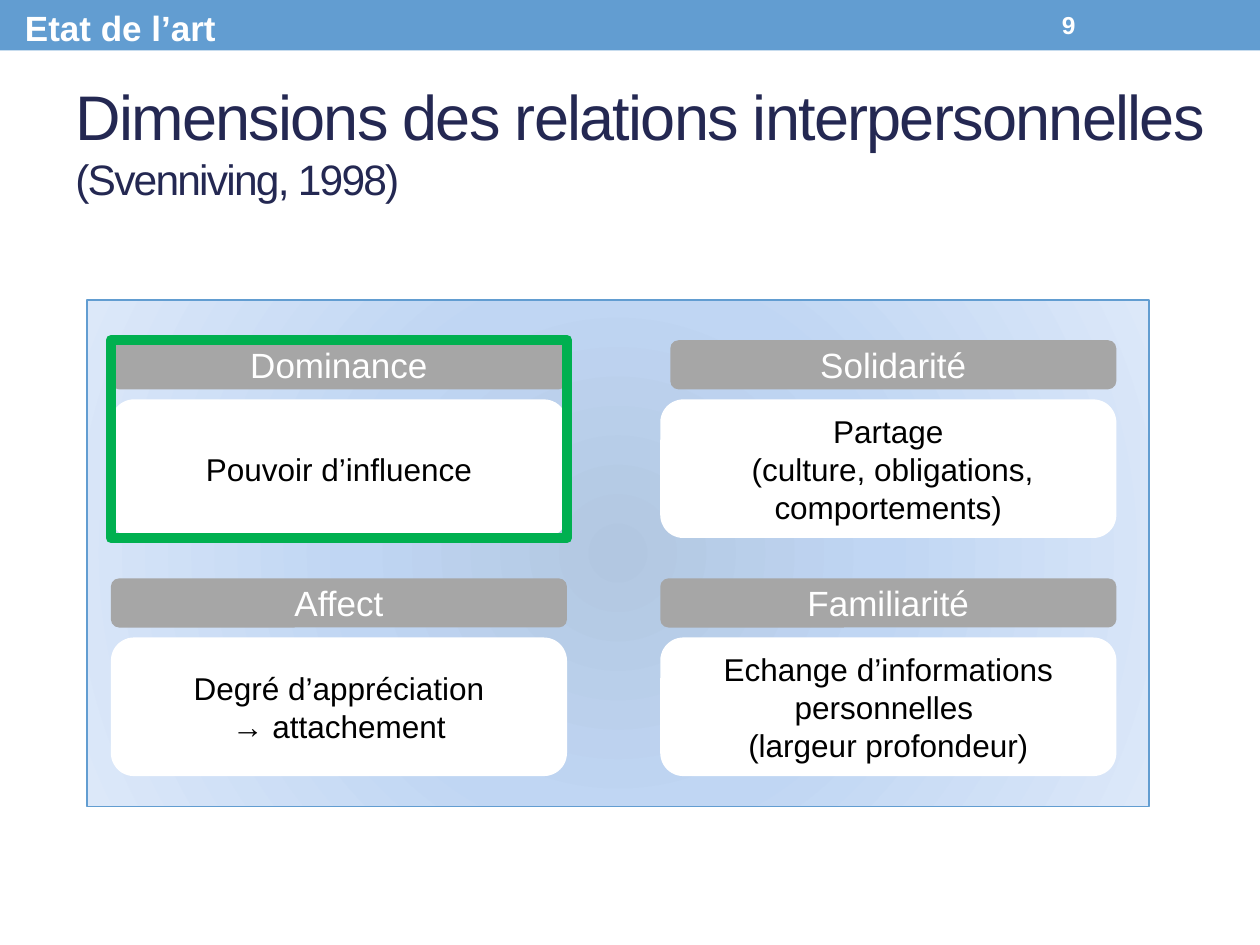
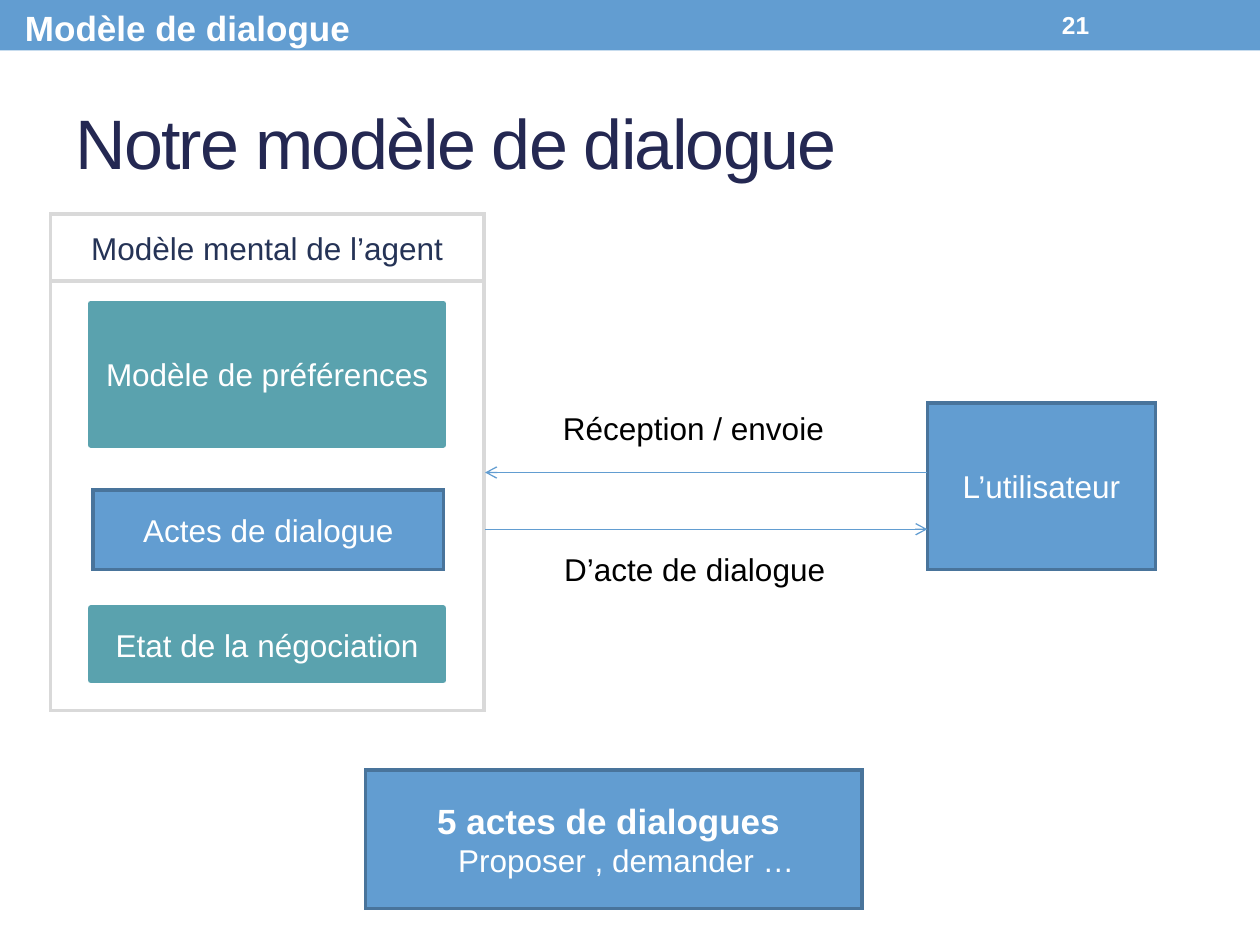
from dataclasses import dataclass
from lxml.etree import SubElement
from pptx import Presentation
from pptx.dml.color import RGBColor
from pptx.enum.shapes import MSO_CONNECTOR as Connector, MSO_SHAPE as Shape
from pptx.enum.text import MSO_ANCHOR as Anchor, PP_ALIGN as Align
from pptx.oxml.ns import qn
from pptx.util import Inches, Pt


@dataclass(frozen=True)
class Theme:
    font: str = "Arial"
    white: str = "FFFFFF"
    black: str = "000000"
    title: str = "242852"
    heading: str = "253356"
    blue: str = "629DD1"
    blue_edge: str = "49749B"
    teal: str = "5AA2AE"
    gray: str = "A6A6A6"
    frame: str = "D9D9D9"
    highlight: str = "00B050"
    glow: tuple = ((0, "B2C7E1"), (45, "C0D6F3"), (100, "DCE8F9"))
    number_size: float = 14
    body_size: float = 18
    label_size: float = 20
    citation_size: float = 24.3
    long_title_size: float = 36
    title_size: float = 40
    thin: float = 0.75
    edge: float = 2.08
    thick: float = 3.5
    heavy: float = 6


THEME = Theme()

RELATIONS = {
    "section": "Etat de l’art", "number": "9", "section_width": 1.73,
    "title": [("Dimensions des relations interpersonnelles ", THEME.long_title_size),
              ("(Svenniving, 1998)", THEME.citation_size)],
    "title_width": 9.22,
}
DIMENSIONS = [
    ("Dominance", ["Pouvoir d’influence"], 0),
    ("Solidarité", ["Partage", " (culture, obligations, comportements)"], 0.08),
    ("Affect", ["Degré d’appréciation", "→ attachement"], 0),
    ("Familiarité", ["Echange d’informations personnelles ", "(largeur profondeur)"], 0),
]
GRID_LEFT, GRID_TOP, COLUMN_STEP, ROW_STEP = 0.88, 2.7, 4.36, 1.89
CARD_WIDTH, HEADER_HEIGHT, BODY_OFFSET, BODY_HEIGHT = 3.62, 0.39, 0.47, 1.1

DIALOGUE = {
    "section": "Modèle de dialogue", "number": "21", "section_width": 2.8,
    "title": [("Notre modèle de dialogue", THEME.title_size)],
    "title_width": 9,
}
BLUE_BOX = dict(fill=THEME.blue, line=THEME.blue_edge, weight=THEME.edge, miter=True)
TEAL_BOX = dict(fill=THEME.teal, line=THEME.teal, weight=THEME.thick)
FRAME_BOX = dict(line=THEME.frame, weight=THEME.edge, miter=True)
MODEL_BOXES = [
    ("Modèle de préférences", (0.72, 2.41, 2.8, 1.12), TEAL_BOX, THEME.white),
    ("Actes de dialogue", (0.74, 3.89, 2.78, 0.63), BLUE_BOX, THEME.white),
    ("Etat de la négociation", (0.72, 4.83, 2.8, 0.57), TEAL_BOX, THEME.white),
    ("", (0.4, 2.23, 3.44, 3.41), FRAME_BOX, THEME.white),
    ("Modèle mental de l’agent", (0.4, 1.7, 3.44, 0.53), FRAME_BOX, THEME.heading),
    ("L’utilisateur", (7.36, 3.2, 1.81, 1.32), BLUE_BOX, THEME.white),
]
AGENT_SIDE, USER_SIDE = 3.85, 7.36
EXCHANGES = [
    ("Réception / envoie", (4.37, 3.2, 2.44, 0.4), USER_SIDE, AGENT_SIDE, 3.75),
    ("D’acte de dialogue", (4.38, 4.32, 2.44, 0.4), AGENT_SIDE, USER_SIDE, 4.2),
]
ACTS_PLACE = (2.9, 6.11, 3.94, 1.1)


def color(value):
    return RGBColor.from_string(value)


def write(box, paragraphs, tone=THEME.black, size=THEME.body_size, bold=False,
          align=Align.CENTER, anchor=Anchor.MIDDLE, wrap=True, spacing=None):
    frame = box.text_frame
    frame.word_wrap = wrap
    frame.vertical_anchor = anchor
    for index, content in enumerate(paragraphs):
        para = frame.add_paragraph() if index else frame.paragraphs[0]
        para.alignment = align
        for text, span_size in [(content, size)] if isinstance(content, str) else content:
            span = para.add_run()
            span.text = text
            span.font.name = THEME.font
            span.font.size = Pt(span_size)
            span.font.bold = bold
            span.font.color.rgb = color(tone)
            if spacing:
                span.font._element.set("spc", str(spacing))
    return frame


def add_label(page, place, paragraphs, **style):
    box = page.shapes.add_textbox(*map(Inches, place))
    return write(box, paragraphs, **{"align": Align.LEFT, **style})


def add_box(page, place, kind=Shape.RECTANGLE, fill=None, line=None, weight=THEME.thin, miter=False):
    box = page.shapes.add_shape(kind, *map(Inches, place))
    box.shadow.inherit = False
    if fill:
        box.fill.solid()
        box.fill.fore_color.rgb = color(fill)
    else:
        box.fill.background()
    if line:
        box.line.color.rgb = color(line)
        box.line.width = Pt(weight)
        if miter:
            SubElement(box._element.spPr.find(qn("a:ln")), qn("a:miter"), lim="800000")
    else:
        box.line.fill.background()
    return box


def add_glow(box):
    properties = box._element.spPr
    gradient = SubElement(properties, qn("a:gradFill"), rotWithShape="1")
    stops = SubElement(gradient, qn("a:gsLst"))
    for position, tone in THEME.glow:
        stop = SubElement(stops, qn("a:gs"), pos=str(position * 1000))
        SubElement(stop, qn("a:srgbClr"), val=tone)
    path = SubElement(gradient, qn("a:path"), path="circle")
    SubElement(path, qn("a:fillToRect"), **dict.fromkeys("ltrb", "100000"))
    properties.replace(properties.find(qn("a:noFill")), gradient)


def add_arrow(page, start, end, height):
    arrow = page.shapes.add_connector(
        Connector.STRAIGHT, *map(Inches, (start, height, end, height)))
    arrow.line.color.rgb = color(THEME.blue)
    arrow.line.width = Pt(THEME.thin)
    properties = arrow._element.spPr
    SubElement(properties.find(qn("a:ln")), qn("a:tailEnd"), type="arrow")
    SubElement(properties, qn("a:effectLst"))


def add_page(deck, content):
    page = deck.slides.add_slide(deck.slide_layouts[6])
    add_box(page, (0, 0, 10, 0.4), fill=THEME.blue)
    add_label(page, (0.5, 0.58, content["title_width"], 1.08), [content["title"]],
              tone=THEME.title, spacing=-100)
    add_label(page, (0.1, 0, content["section_width"], 0.44), [content["section"]],
              tone=THEME.white, size=THEME.label_size, bold=True, anchor=Anchor.TOP, wrap=False)
    add_label(page, (8.33, 0.02, 1.17, 0.36), [content["number"]],
              tone=THEME.white, size=THEME.number_size, bold=True)
    return page


def build_relations(deck):
    page = add_page(deck, RELATIONS)
    add_glow(add_box(page, (0.69, 2.38, 8.43, 4.02), line=THEME.blue))
    for index, (name, description, inset) in enumerate(DIMENSIONS):
        row, column = divmod(index, 2)
        left, top = GRID_LEFT + column * COLUMN_STEP, GRID_TOP + row * ROW_STEP
        body = add_box(page, (left, top + BODY_OFFSET, CARD_WIDTH, BODY_HEIGHT),
                       Shape.ROUNDED_RECTANGLE, fill=THEME.white)
        write(body, description)
        header = add_box(page, (left + inset, top, CARD_WIDTH - inset, HEADER_HEIGHT),
                         Shape.ROUNDED_RECTANGLE, fill=THEME.gray)
        write(header, [name], tone=THEME.white, size=THEME.label_size)
    add_box(page, (GRID_LEFT, GRID_TOP, CARD_WIDTH, BODY_OFFSET + BODY_HEIGHT),
            line=THEME.highlight, weight=THEME.heavy)


def build_dialogue(deck):
    page = add_page(deck, DIALOGUE)
    for text, place, style, tone in MODEL_BOXES:
        box = add_box(page, place, **style)
        if text:
            write(box, [text], tone=tone)
    for text, place, start, end, height in EXCHANGES:
        add_arrow(page, start, end, height)
        add_label(page, place, [text], anchor=Anchor.TOP)
    acts = add_box(page, ACTS_PLACE, **BLUE_BOX)
    frame = write(acts, [[("5 actes de dialogues ", THEME.label_size)], "Proposer , demander …"],
                  tone=THEME.white)
    heading, examples = frame.paragraphs
    heading.runs[0].font.bold = True
    examples._p.get_or_add_pPr().set("marL", str(Inches(0.2)))


def main():
    deck = Presentation()
    deck.slide_width, deck.slide_height = Inches(10), Inches(7.5)
    build_relations(deck)
    build_dialogue(deck)
    deck.save("out.pptx")


if __name__ == "__main__":
    main()
